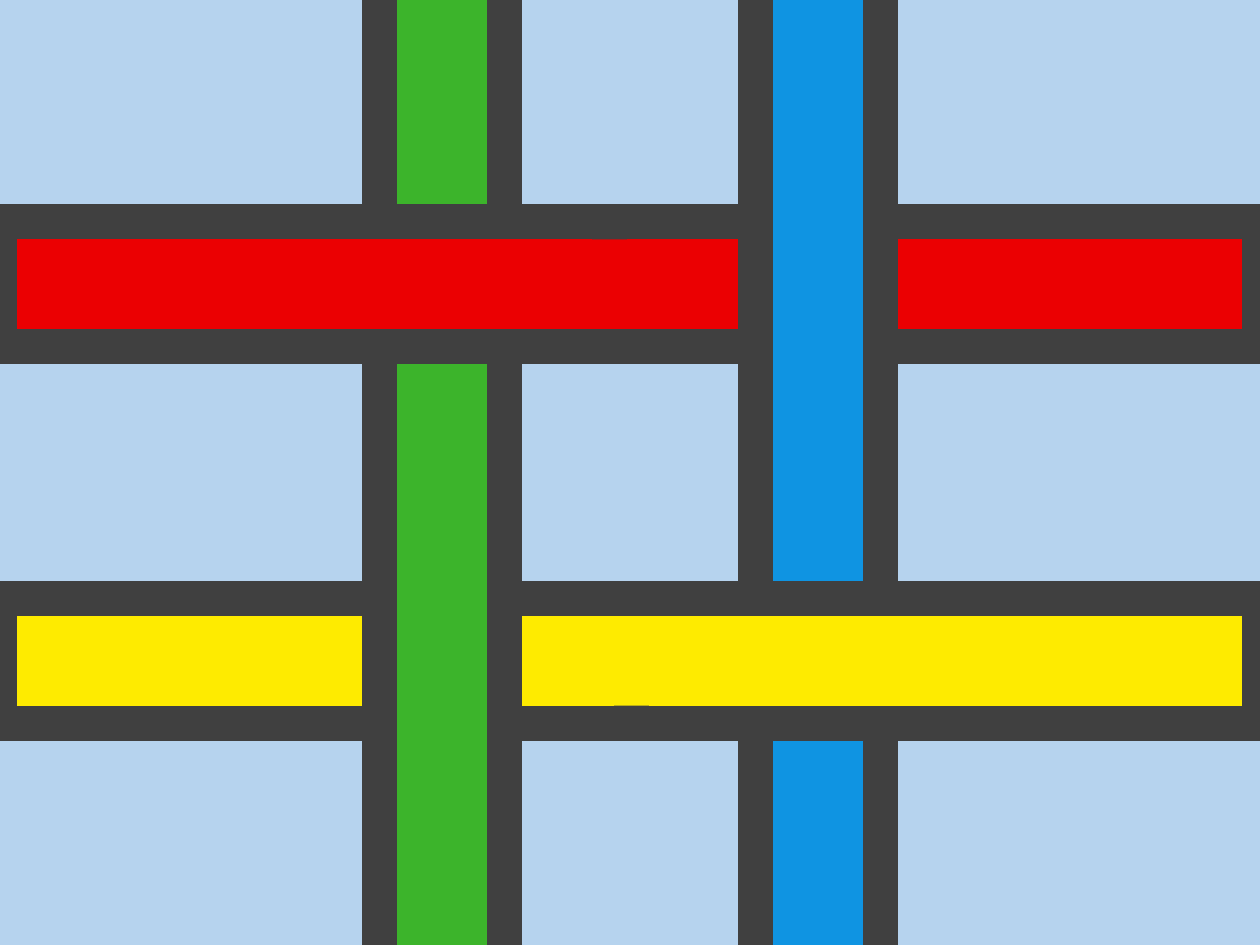
from pptx import Presentation
from pptx.dml.color import RGBColor
from pptx.enum.shapes import MSO_SHAPE
from pptx.util import Inches, Pt

COLORS = {"sky": "B6D3EE", "red": "EB0002", "yellow": "FEEB00",
          "blue": "0F94E2", "green": "3CB42B", "edge": "404040"}
WIDE, HIGH = 10, 7.5
BAND = 0.99   # band thickness
CORE = 0.71   # band thickness inside its edges
EDGE = 20     # edge width in points
ROWS = {"red": 1.76, "yellow": 4.75}
COLS = {"green": -1.49, "blue": 1.49}


def block(slide, box, color, edge=False, turn=0):
    """Draw a filled rectangle in box, with an edge if asked."""
    shape = slide.shapes.add_shape(MSO_SHAPE.RECTANGLE, *map(Inches, box))
    shape.shadow.inherit = False
    shape.rotation = turn
    shape.fill.solid()
    shape.fill.fore_color.rgb = RGBColor.from_string(COLORS[color])
    if edge:
        shape.line.color.rgb = RGBColor.from_string(COLORS["edge"])
        shape.line.width = Pt(EDGE)
    else:
        shape.line.fill.background()


def row(slide, color, left=0, width=WIDE):
    """Draw a level band, or a part of it."""
    block(slide, (left, ROWS[color], width, BAND), color, edge=True)


def column(slide, color):
    """Draw an upright band as a turned level one."""
    block(slide, (COLS[color], 3.31, WIDE, BAND), color, edge=True, turn=90)


def seam(slide, color, left, width):
    """Hide the end of an upper part where it joins its band."""
    top = ROWS[color] + (BAND - CORE) / 2
    block(slide, (left, top, width, CORE), color)


def weave(slide):
    """Draw the backdrop, the four bands and the crossings on top."""
    block(slide, (0, 0, WIDE, HIGH), "sky")
    for color in ROWS:
        row(slide, color)
    for color in ("blue", "green"):
        column(slide, color)
    row(slide, "yellow", 5.01, 4.99)
    row(slide, "red", 0, 4.84)
    seam(slide, "red", 4.31, 1.16)
    seam(slide, "yellow", 4.49, 0.97)


deck = Presentation()
deck.slide_width, deck.slide_height = Inches(WIDE), Inches(HIGH)
weave(deck.slides.add_slide(deck.slide_layouts[6]))
deck.save("out.pptx")
